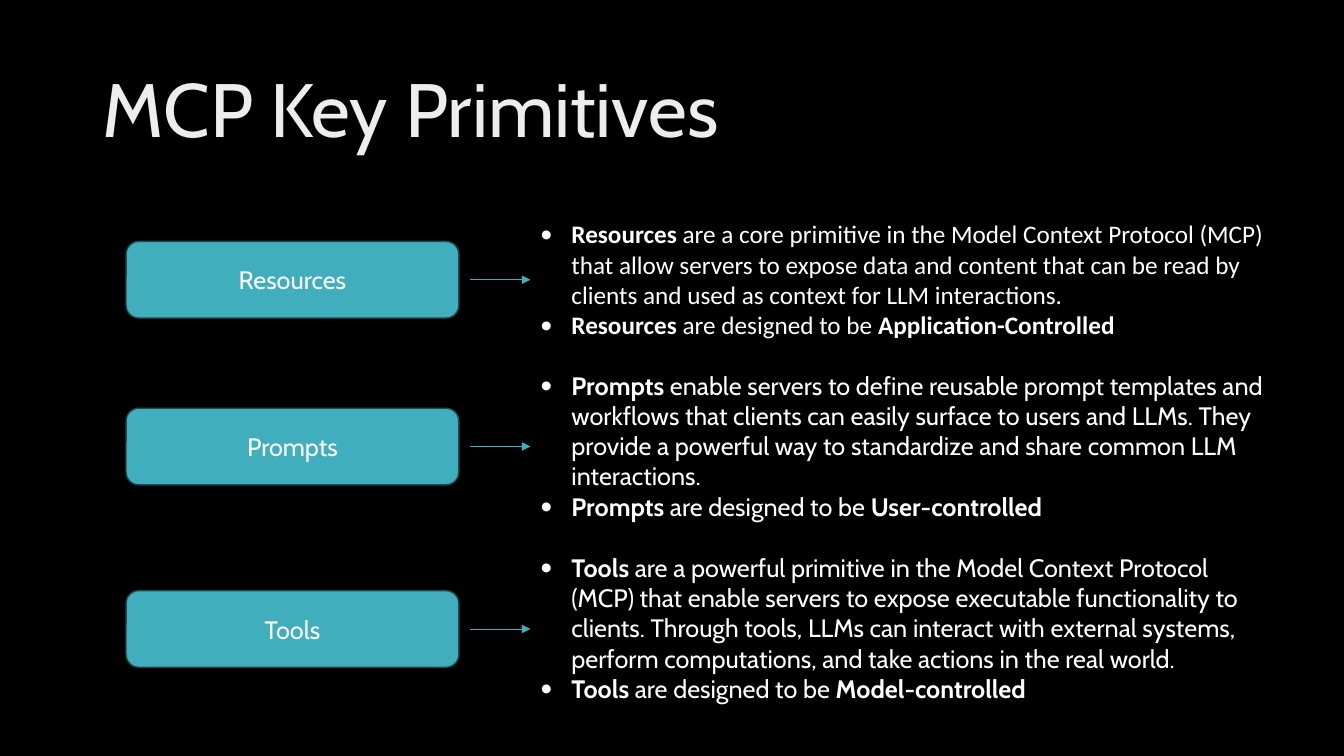
from lxml import etree
from pptx import Presentation
from pptx import util as u
from pptx.dml.color import RGBColor
from pptx.enum import shapes, text
from pptx.oxml.ns import qn

COLORS = {
    "background": "000000",
    "title": "EDEDED",
    "text": "FFFFFF",
    "teal": "41AEBD",
    "outline": "1C4C53",
}
PRIMITIVES = [
    (
        "Resources",
        "Calibri",
        17.47,
        " are a core primitive in the Model Context Protocol (MCP) that allow servers "
        "to expose data and content that can be read by clients and used as context "
        "for LLM interactions.",
        "Application-Controlled",
    ),
    (
        "Prompts",
        "Cabin",
        21.6,
        " enable servers to define reusable prompt templates and workflows that clients "
        "can easily surface to users and LLMs. They provide a powerful way to "
        "standardize and share common LLM interactions.",
        "User-controlled",
    ),
    (
        "Tools",
        "Cabin",
        21.6,
        " are a powerful primitive in the Model Context Protocol (MCP) that enable "
        "servers to expose executable functionality to clients. Through tools, LLMs can "
        "interact with external systems, perform computations, and take actions in the "
        "real world.",
        "Model-controlled",
    ),
]

presentation = Presentation()
presentation.slide_width = u.Inches(13.33)
presentation.slide_height = u.Inches(7.5)
slide = presentation.slides.add_slide(presentation.slide_layouts[6])
slide.background.fill.solid()
slide.background.fill.fore_color.rgb = RGBColor.from_string(COLORS["background"])


def grid(left, top, width, height):
    column = presentation.slide_width / 100
    row = presentation.slide_height / 100
    return [round(n) for n in (left * column, top * row, width * column, height * row)]


def style(font, name, size, color, bold=False):
    font.name = name
    font.size = u.Pt(size)
    font.bold = bold
    font.color.rgb = RGBColor.from_string(COLORS[color])


title = slide.shapes.add_textbox(*grid(6.9, 5.33, 86.27, 19.33))
title.text_frame.word_wrap = True
title.text_frame.vertical_anchor = text.MSO_ANCHOR.MIDDLE
title.text_frame.text = "MCP Key Primitives"
title.text_frame.paragraphs[0].line_spacing = 0.9
style(title.text_frame.paragraphs[0].runs[0].font, "Cabin", 54, "title")

label_left, label_width, label_height = 9.38, 24.76, 10.13
arrow_left, text_left, text_width = 34.96, 39.46, 56.04
top, gap = 28.27, 2.53

for name, font_name, height, description, control in PRIMITIVES:
    middle = top + height / 2

    label = slide.shapes.add_shape(
        shapes.MSO_SHAPE.ROUNDED_RECTANGLE,
        *grid(label_left, middle - label_height / 2, label_width, label_height),
    )
    label.shadow.inherit = False
    label.fill.solid()
    label.fill.fore_color.rgb = RGBColor.from_string(COLORS["teal"])
    label.line.color.rgb = RGBColor.from_string(COLORS["outline"])
    label.line.width = u.Pt(1)
    label.text_frame.vertical_anchor = text.MSO_ANCHOR.MIDDLE
    label.text_frame.text = name
    label.text_frame.paragraphs[0].alignment = text.PP_ALIGN.CENTER
    style(label.text_frame.paragraphs[0].runs[0].font, "Cabin", 18, "text")

    details = slide.shapes.add_textbox(*grid(text_left, top, text_width, height))
    frame = details.text_frame
    frame.word_wrap = True
    frame.auto_size = text.MSO_AUTO_SIZE.SHAPE_TO_FIT_TEXT
    bullets = [
        [(name, True), (description, False)],
        [(name, True), (" are designed to be ", False), (control, True)],
    ]
    for index, bullet in enumerate(bullets):
        paragraph = frame.add_paragraph() if index else frame.paragraphs[0]
        properties = paragraph._p.get_or_add_pPr()
        properties.set("marL", str(u.Inches(0.31)))
        properties.set("indent", str(-u.Inches(0.31)))
        etree.SubElement(properties, qn("a:buFont")).set("typeface", "Calibri")
        etree.SubElement(properties, qn("a:buChar")).set("char", "•")
        for words, bold in bullet:
            run = paragraph.add_run()
            run.text = words
            style(run.font, font_name, 18, "text", bold)

    start_x, y, length, _ = grid(arrow_left, middle, text_left - arrow_left, 0)
    arrow = slide.shapes.add_connector(
        shapes.MSO_CONNECTOR.STRAIGHT, start_x, y, start_x + length, y
    )
    arrow.line.color.rgb = RGBColor.from_string(COLORS["teal"])
    arrow.line.width = u.Pt(0.5)
    etree.SubElement(arrow.line._get_or_add_ln(), qn("a:tailEnd")).set("type", "triangle")
    etree.SubElement(arrow._element.spPr, qn("a:effectLst"))

    top += height + gap

presentation.save("out.pptx")
